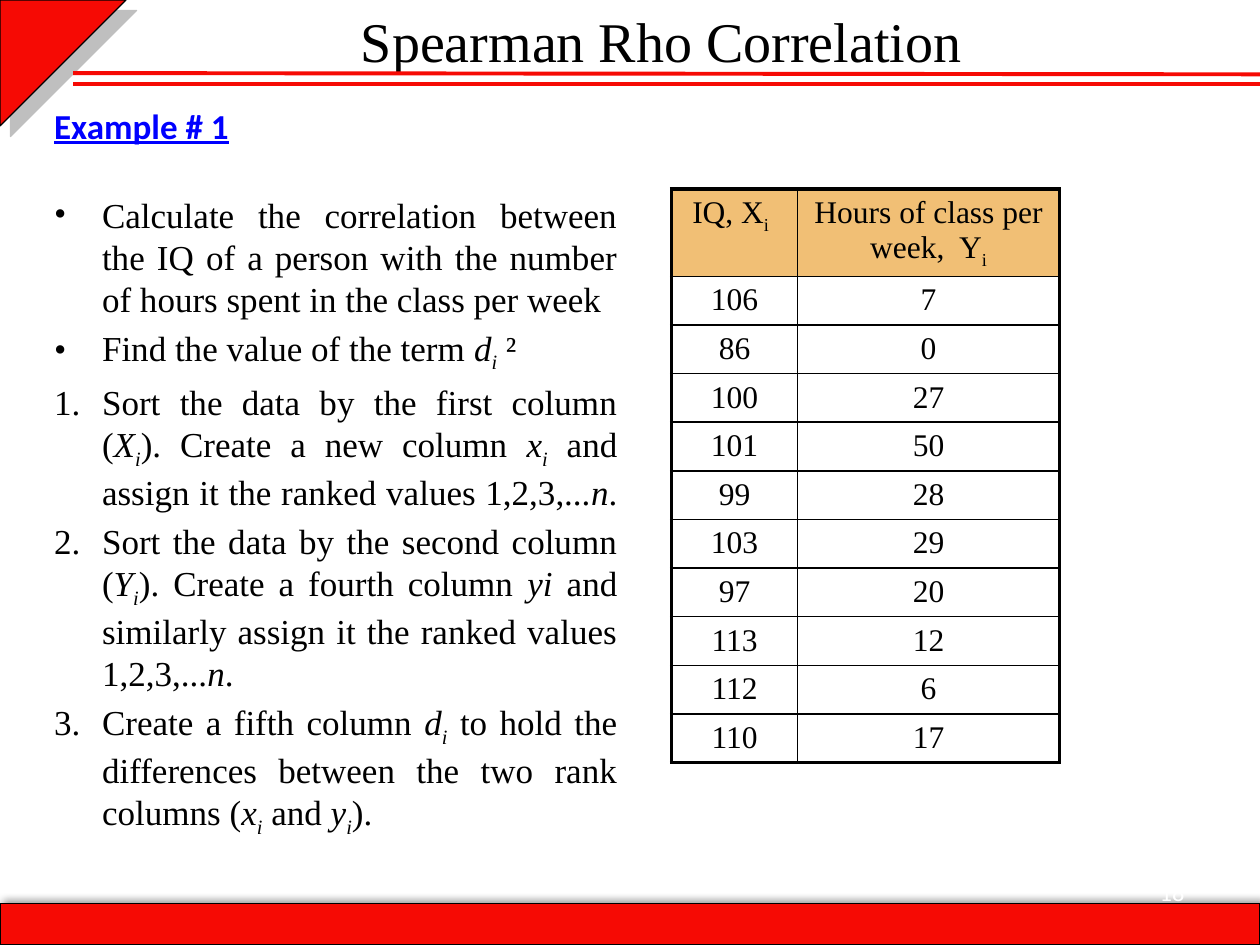
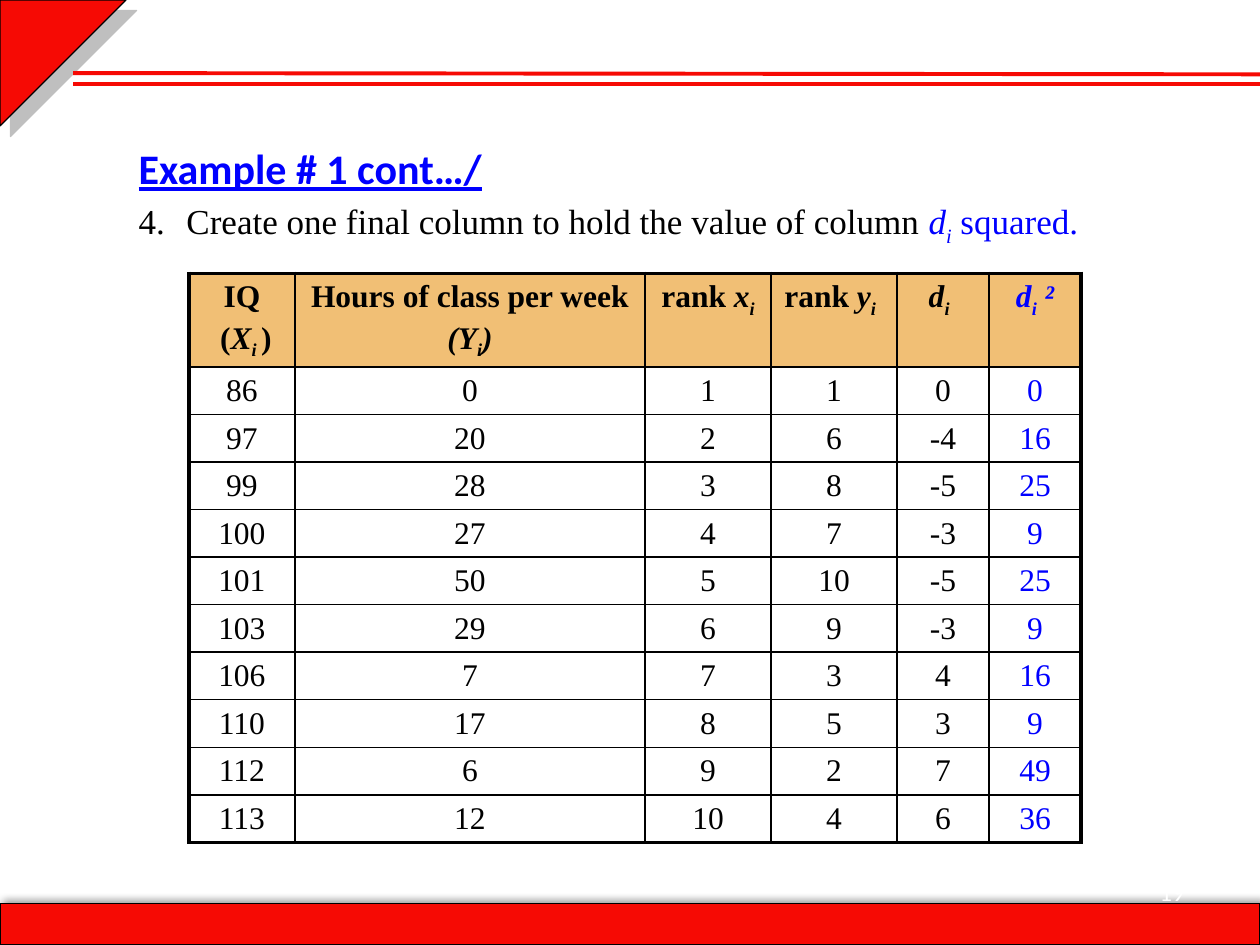
from lxml import etree
from pptx import Presentation
from pptx.dml.color import RGBColor
from pptx.enum.shapes import MSO_CONNECTOR, MSO_SHAPE
from pptx.enum.text import MSO_ANCHOR, MSO_AUTO_SIZE, PP_ALIGN
from pptx.oxml.ns import qn
from pptx.util import Inches, Pt

LINE = MSO_CONNECTOR.STRAIGHT
TRIANGLE, RECTANGLE = MSO_SHAPE.RIGHT_TRIANGLE, MSO_SHAPE.RECTANGLE
TOP, MIDDLE = MSO_ANCHOR.TOP, MSO_ANCHOR.MIDDLE
NO_AUTOFIT = MSO_AUTO_SIZE.NONE
LEFT, CENTER = PP_ALIGN.LEFT, PP_ALIGN.CENTER
RIGHT, JUSTIFY = PP_ALIGN.RIGHT, PP_ALIGN.JUSTIFY

COLORS = {"red": "F60A04", "black": "000000", "white": "FFFFFF",
          "blue": "0000FF", "header": "F1BF75", "gray": "808080"}
SERIF, SANS = "Times New Roman", "Calibri"
INDENT = 0.38


def rgb(name):
    return RGBColor.from_string(COLORS[name])


def sub(parent, tag, **attrs):
    child = etree.SubElement(parent, qn(tag))
    for key, value in attrs.items():
        child.set(key, str(value))
    return child


def var(letter, style="i"):
    return [(letter, style), ("i", style + "s")]


def write(p, runs, size, font=SERIF, color="black", align=LEFT, before=0):
    p.alignment = align
    p.space_before = Pt(before)
    for text, style in runs:
        r = p.add_run()
        r.text = text
        r.font.name = font
        r.font.size = Pt(size)
        r.font.bold = "b" in style
        r.font.italic = "i" in style
        r.font.underline = "u" in style
        r.font.color.rgb = rgb("blue" if "l" in style else color)
        if "s" in style:
            r._r.get_or_add_rPr().set("baseline", "-25000")


def set_marker(p, marker=None, start=1):
    pPr = p._p.get_or_add_pPr()
    pPr.set("marL", str(Inches(INDENT)))
    pPr.set("indent", str(-Inches(INDENT)))
    if marker == "bullet":
        sub(pPr, "a:buFont", typeface=SERIF)
        sub(pPr, "a:buChar", char="•")
    elif marker == "number":
        sub(pPr, "a:buFont", typeface=SERIF)
        sub(pPr, "a:buAutoNum", type="arabicPeriod", startAt=start)
    else:
        sub(pPr, "a:buNone")


def place(sp, x, y, w, h, anchor=TOP):
    sp.left, sp.top, sp.width, sp.height = map(Inches, (x, y, w, h))
    tf = sp.text_frame
    tf.word_wrap = True
    tf.auto_size = NO_AUTOFIT
    tf.vertical_anchor = anchor
    return tf


def add_red_shape(s, kind, x, y, w, h, shadow, rotation=0):
    sp = s.shapes.add_shape(kind, Inches(x), Inches(y), Inches(w), Inches(h))
    sp.rotation = rotation
    sp.fill.solid()
    sp.fill.fore_color.rgb = rgb("red")
    sp.line.color.rgb = rgb("black")
    sp.line.width = Pt(0.75)
    sp.shadow.inherit = False
    color, alpha, blur, distance, angle = shadow
    effects = sp._element.spPr.find(qn("a:effectLst"))
    outer = sub(effects, "a:outerShdw", blurRad=Pt(blur), dist=Pt(distance),
                dir=angle * 60000, algn="ctr", rotWithShape=0)
    sub(sub(outer, "a:srgbClr", val=COLORS[color]), "a:alpha", val=alpha * 1000)


def add_rule(s, y1, y2):
    rule = s.shapes.add_connector(LINE, Inches(0.58), Inches(y1), Inches(10), Inches(y2))
    rule.line.color.rgb = rgb("red")
    rule.line.width = Pt(2.25)
    sub(rule._element.spPr, "a:effectLst")


def add_frame(s, number):
    add_red_shape(s, TRIANGLE, 0, 0, 1, 1, ("gray", 50, 0, 8.5, 45), 90)
    add_rule(s, 0.67, 0.67)
    add_rule(s, 0.58, 0.59)
    add_red_shape(s, RECTANGLE, 0, 7.17, 10, 0.33, ("black", 40, 4, 3, 315))
    box = s.shapes.add_textbox(0, 0, 0, 0)
    tf = place(box, 7.42, 6.83, 2.08, 0.5, MIDDLE)
    write(tf.paragraphs[0], [(number, "")], 14, SANS, "white", RIGHT)


def add_title(s, text):
    tf = place(s.shapes.title, 1, 0, 8.5, 1.25)
    write(tf.paragraphs[0], [(text, "")], 32, align=CENTER)


def add_body(s, box, heading, heading_size):
    tf = place(s.placeholders[1], *box)
    p = tf.paragraphs[0]
    set_marker(p)
    write(p, [(heading, "bul")], heading_size, SANS)
    return tf


def add_item(tf, runs, marker, start=1, align=JUSTIFY, before=4):
    p = tf.add_paragraph()
    set_marker(p, marker, start)
    write(p, runs, 20, align=align, before=before)


def set_borders(cell, widths):
    tcPr = cell._tc.get_or_add_tcPr()
    for side, width in zip("LRTB", widths):
        ln = sub(tcPr, "a:ln" + side, w=Pt(width))
        sub(sub(ln, "a:solidFill"), "a:srgbClr", val=COLORS["black"])


def add_table(s, x, y, col_widths, height, header_height, header, data, blue_col=None):
    rows, cols = len(data) + 1, len(col_widths)
    row_height = (height - header_height) / len(data)
    table = s.shapes.add_table(rows, cols, Inches(x), Inches(y),
                               Inches(sum(col_widths)), Inches(height)).table
    table.first_row = table.horz_banding = False
    for col, width in zip(table.columns, col_widths):
        col.width = Inches(width)
    for i, row in enumerate(table.rows):
        row.height = Inches(row_height if i else header_height)
        for j, cell in enumerate(row.cells):
            edges = (j == 0, j == cols - 1, i == 0, i == rows - 1)
            set_borders(cell, [2.25 if edge else 1 for edge in edges])
            cell.fill.solid()
            cell.fill.fore_color.rgb = rgb("white" if i else "header")
            style = "l" if j == blue_col else ""
            lines = [[(str(data[i - 1][j]), style)]] if i else header[j]
            tf = cell.text_frame
            for k, runs in enumerate(lines):
                p = tf.add_paragraph() if k else tf.paragraphs[0]
                write(p, runs, 18, align=CENTER, before=3.6 if k else 0)


def build_steps(prs):
    s = prs.slides.add_slide(prs.slide_layouts[1])
    add_frame(s, "18")
    add_title(s, "Spearman Rho Correlation")
    tf = add_body(s, (0.33, 0.84, 4.67, 6.08), "Example # 1", 20)
    tf.paragraphs[0].line_spacing = 0.8
    add_item(tf, [("Calculate the correlation between the IQ of a person with the "
                   "number of hours spent in the class per week", "")], "bullet", before=27)
    add_item(tf, [("Find the value of the term ", ""), *var("d"), (" ²", "")], "bullet")
    steps = [
        [("Sort the data by the first column (", ""), *var("X"),
         ("). Create a new column ", ""), *var("x"),
         (" and assign it the ranked values 1,2,3,...", ""), ("n", "i"), (". ", "")],
        [("Sort the data by the second column (", ""), *var("Y"),
         ("). Create a fourth column ", ""), ("yi", "i"),
         (" and similarly assign it the ranked values 1,2,3,...", ""), ("n", "i"), (". ", "")],
        [("Create a fifth column ", ""), *var("d"),
         (" to hold the differences between the two rank columns (", ""), *var("x"),
         (" and ", ""), *var("y"), ("). ", "")],
    ]
    for runs in steps:
        add_item(tf, runs, "number")
    header = [[[("IQ, X", ""), ("i", "s"), (" ", "")]],
              [[("Hours of class per week,  Y", ""), ("i", "s")]]]
    data = [(106, 7), (86, 0), (100, 27), (101, 50), (99, 28),
            (103, 29), (97, 20), (113, 12), (112, 6), (110, 17)]
    add_table(s, 5.33, 1.5, [1, 2.08], 4.54, 0.68, header, data)


def build_ranks(prs):
    s = prs.slides.add_slide(prs.slide_layouts[1])
    title = s.shapes.title._element
    title.getparent().remove(title)
    add_frame(s, "19")
    tf = add_body(s, (1, 1.08, 8.17, 4.95), "Example # 1 cont…/", 24)
    add_item(tf, [("Create one final column to hold the value of column ", ""),
                  *var("d", "il"), (" squared.", "l")], "number", 4, LEFT)
    header = [
        [[("IQ", "b")], [(" (", "b"), ("X", "bi"), ("i ", "bis"), (")", "b")]],
        [[("Hours of class per week", "b")], [("(Y", "bi"), ("i", "bis"), (")", "bi")]],
        [[("rank ", "b"), *var("x", "bi")]],
        [[("rank ", "b"), *var("y", "bi"), (" ", "bi")]],
        [[*var("d", "bi"), (" ", "bi")]],
        [[*var("d", "bil"), (" ²", "bil")]],
    ]
    data = [(86, 0, 1, 1, 0, 0), (97, 20, 2, 6, -4, 16), (99, 28, 3, 8, -5, 25),
            (100, 27, 4, 7, -3, 9), (101, 50, 5, 10, -5, 25), (103, 29, 6, 9, -3, 9),
            (106, 7, 7, 3, 4, 16), (110, 17, 8, 5, 3, 9), (112, 6, 9, 2, 7, 49),
            (113, 12, 10, 4, 6, 36)]
    add_table(s, 1.5, 2.17, [0.84, 2.78, 1, 1, 0.73, 0.73], 4.51, 0.74, header, data, 5)


def main():
    prs = Presentation()
    prs.slide_width, prs.slide_height = Inches(10), Inches(7.5)
    build_steps(prs)
    build_ranks(prs)
    prs.save("out.pptx")


if __name__ == "__main__":
    main()
